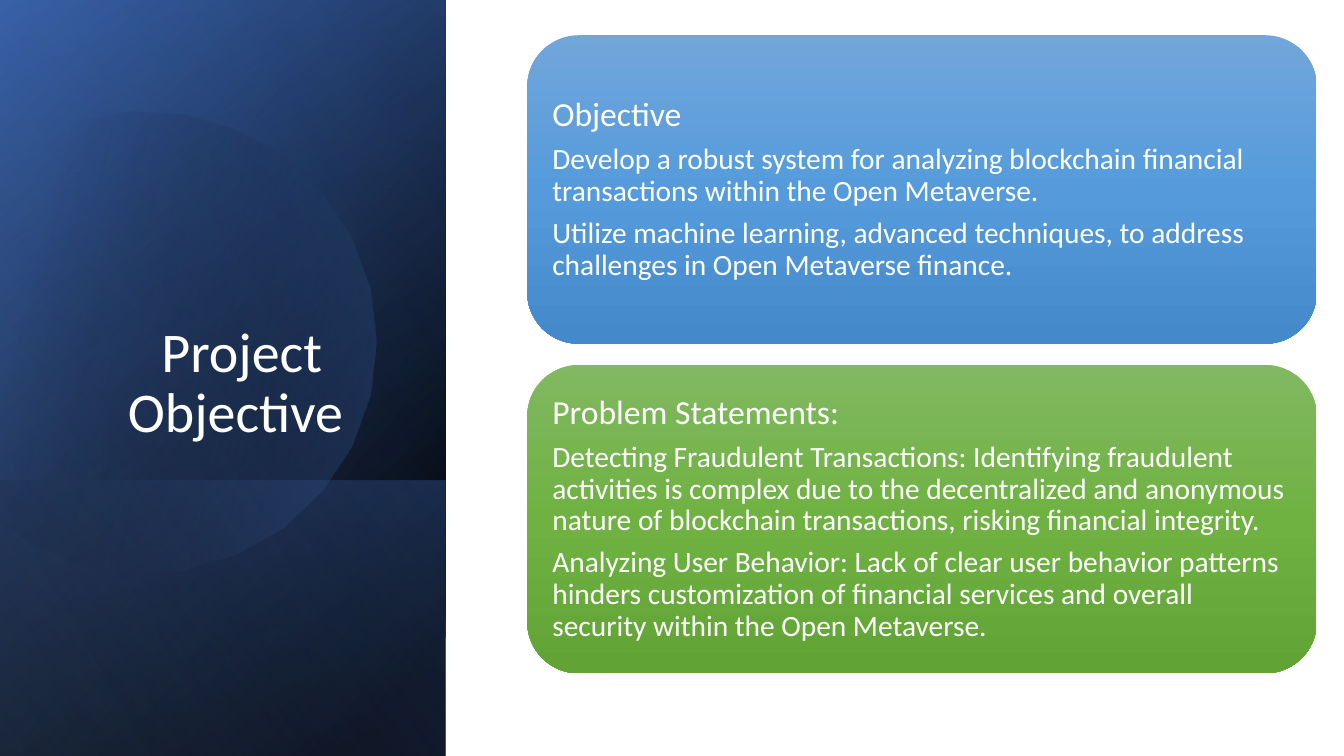
from math import cos, radians, sin

from lxml import etree
from pptx import Presentation
from pptx.dml.color import RGBColor
from pptx.enum import shapes, text
from pptx.oxml import ns
from pptx.util import Inches, Pt


def color(value):
    return RGBColor.from_string(value)


class ObjectiveSlide:
    """Draws gradient panels and text on one slide in a shared style."""

    font = "Calibri"
    ink = "FFFFFF"

    def __init__(self, prs):
        self.slide = prs.slides.add_slide(prs.slide_layouts[6])

    def gradient(self, s, stops, angle):
        s.shadow.inherit = False
        s.line.fill.background()
        s.fill.gradient()
        grad = s._element.spPr.find(ns.qn("a:gradFill"))
        gs_lst = grad.find(ns.qn("a:gsLst"))
        for gs in list(gs_lst):
            gs_lst.remove(gs)
        for pos, value, opacity in stops:
            gs = etree.SubElement(gs_lst, ns.qn("a:gs"), pos=str(pos * 1000))
            clr = etree.SubElement(gs, ns.qn("a:srgbClr"), val=str(color(value)))
            if opacity < 100:
                etree.SubElement(clr, ns.qn("a:alpha"), val=str(opacity * 1000))
        grad.find(ns.qn("a:lin")).set("ang", str(angle * 60000))

    def panel(self, kind, box, stops, angle):
        s = self.slide.shapes.add_shape(kind, *map(Inches, box))
        self.gradient(s, stops, angle)
        return s

    def turned_panel(self, box, stops, angle):
        s = self.panel(shapes.MSO_SHAPE.RECTANGLE, box, stops, angle)
        s.rotation = 90
        s._element.spPr.find(ns.qn("a:xfrm")).set("flipH", "1")

    def cut_disc(self, left, top, radius, start, end, rotation, stops, angle):
        sides = 20
        turns = [radians(start + (end - start) * i / sides) for i in range(sides + 1)]
        points = [(Inches(radius * cos(a)), Inches(radius * sin(a))) for a in turns]
        builder = self.slide.shapes.build_freeform(*points[0])
        builder.add_line_segments(points[1:], close=True)
        s = builder.convert_to_shape()
        s.left, s.top, s.rotation = Inches(left), Inches(top), rotation
        self.gradient(s, stops, angle)

    def text_box(self, box, lines, sizes, anchor, align, inset_y, gap):
        tf = self.slide.shapes.add_textbox(*map(Inches, box)).text_frame
        tf.word_wrap = True
        tf.vertical_anchor = anchor
        tf.margin_top = tf.margin_bottom = Inches(inset_y)
        tf.text = "\n".join(lines)
        for p, size in zip(tf.paragraphs, sizes):
            p.alignment = align
            p.line_spacing = 0.9
            p.space_after = Pt(gap)
            for r in p.runs:
                r.font.name = self.font
                r.font.size = Pt(size)
                r.font.color.rgb = color(self.ink)

    def title(self, box, line):
        self.text_box(box, [line], [40], text.MSO_ANCHOR.BOTTOM,
                      text.PP_ALIGN.CENTER, 0.05, 0)

    def card(self, box, colors, lines):
        left, top, width, height = box
        stops = [(pos, value, 100) for pos, value in zip((0, 50, 100), colors)]
        self.panel(shapes.MSO_SHAPE.ROUNDED_RECTANGLE, box, stops, 90)
        pad = 0.15
        inner = (left + pad, top + pad, width - 2 * pad, height - 2 * pad)
        self.text_box(inner, lines, [24, 21, 21], text.MSO_ANCHOR.MIDDLE,
                      text.PP_ALIGN.LEFT, 0.1, 7.35)


CARDS = [
    (("71A6DB", "559BDB", "448ACA"), [
        "Objective",
        "Develop a robust system for analyzing blockchain financial "
        "transactions within the Open Metaverse.",
        "Utilize machine learning, advanced techniques, to address "
        "challenges in Open Metaverse finance.",
    ]),
    (("81B861", "6FB242", "62A336"), [
        "Problem Statements:",
        "Detecting Fraudulent Transactions: Identifying fraudulent activities "
        "is complex due to the decentralized and anonymous nature of "
        "blockchain transactions, risking financial integrity.",
        "Analyzing User Behavior: Lack of clear user behavior patterns hinders "
        "customization of financial services and overall security within the "
        "Open Metaverse.",
    ]),
]


def main():
    prs = Presentation()
    prs.slide_width, prs.slide_height = Inches(13.33), Inches(7.5)
    page = ObjectiveSlide(prs)

    sidebar = (-1.54, 1.54, 7.5, 4.42)
    page.turned_panel(sidebar, [(8, "000000", 100), (100, "2F5597", 100)], 50)
    page.turned_panel(sidebar, [(0, "000000", 0), (99, "4472C4", 46)], 30)
    page.turned_panel((0.84, 3.93, 2.74, 4.42),
                      [(2, "4472C4", 29), (100, "000000", 30)], 130)
    page.cut_disc(-0.55, 1.06, 2.29, -118, 150, 343.9,
                  [(29, "000000", 0), (100, "4472C4", 43)], 30)
    page.turned_panel(sidebar, [(0, "000000", 0), (99, "8FAADC", 11)], 120)
    page.title((0.63, 1.84, 3.41, 2.62), " Project Objective")

    for i, (colors, lines) in enumerate(CARDS):
        page.card((5.23, 0.35 + i * 3.27, 7.83, 3.06), colors, lines)

    prs.save("out.pptx")


if __name__ == "__main__":
    main()
